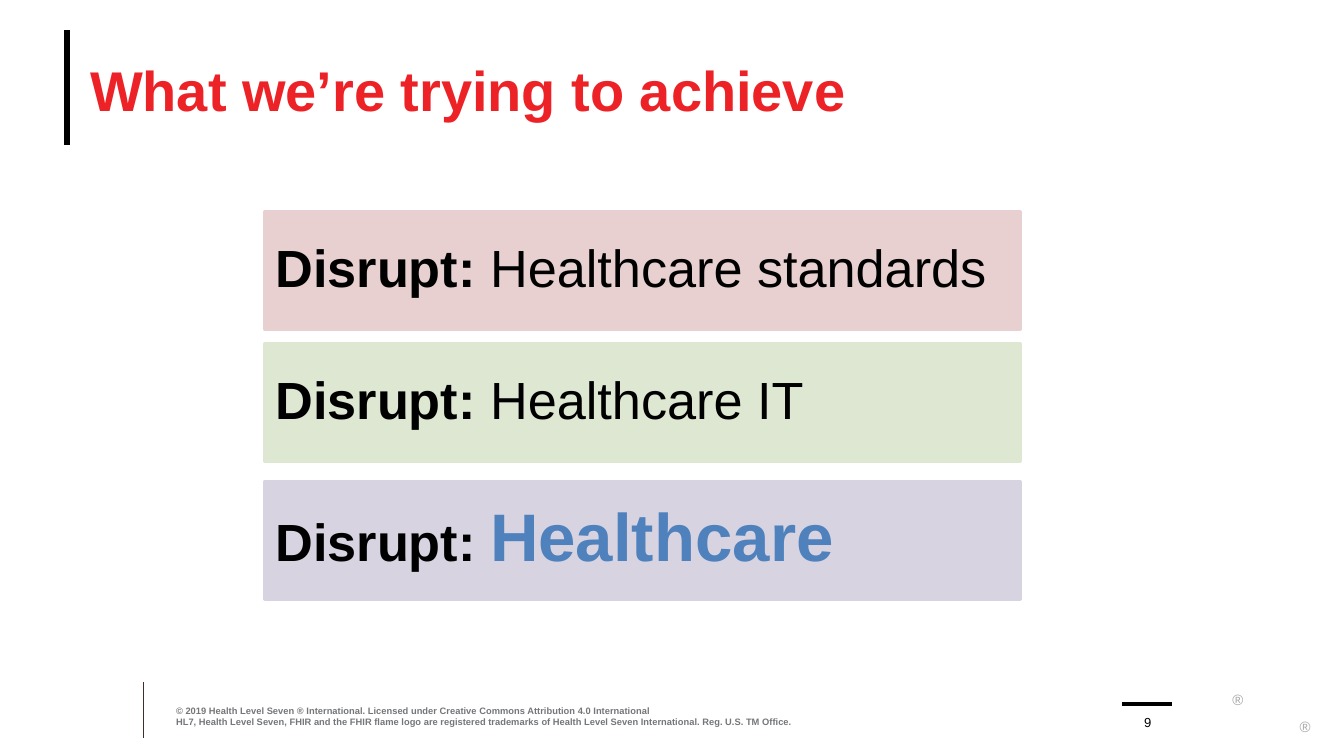
from dataclasses import dataclass

import pptx
import pptx.dml.color
import pptx.enum.shapes
import pptx.enum.text
import pptx.oxml.xmlchemy
import pptx.util

RGBColor = pptx.dml.color.RGBColor
Anchor = pptx.enum.text.MSO_ANCHOR
Align = pptx.enum.text.PP_ALIGN

BLACK = RGBColor(0x00, 0x00, 0x00)
RED = RGBColor(0xEC, 0x22, 0x27)
BROWN = RGBColor(0x3D, 0x30, 0x29)
GREY = RGBColor(0x74, 0x76, 0x79)
LIGHT_GREY = RGBColor(0xA6, 0xA6, 0xA6)
BLUE = RGBColor(0x4F, 0x81, 0xBD)
ROSE = RGBColor(0xE8, 0xD0, 0xD0)
SAGE = RGBColor(0xDE, 0xE7, 0xD1)
LILAC = RGBColor(0xD8, 0xD3, 0xE0)

FONT = "Arial"
SLIDE_WIDTH = pptx.util.Inches(10)
SLIDE_HEIGHT = SLIDE_WIDTH * 9 // 16
COLUMN = SLIDE_WIDTH / 100
ROW = SLIDE_HEIGHT / 56.25


@dataclass(frozen=True)
class Area:
    """A place on the slide, in grid columns and rows."""

    left: float
    top: float
    width: float
    height: float

    def emu(self) -> tuple[int, int, int, int]:
        return (round(self.left * COLUMN), round(self.top * ROW),
                round(self.width * COLUMN), round(self.height * ROW))


@dataclass(frozen=True)
class Style:
    size: float
    color: RGBColor
    bold: bool = False


@dataclass(frozen=True)
class Rule:
    area: Area
    color: RGBColor
    weight: float


@dataclass(frozen=True)
class Label:
    area: Area
    text: str
    style: Style
    anchor: Anchor = Anchor.BOTTOM
    align: Align = Align.LEFT


@dataclass(frozen=True)
class Goal:
    top: float
    color: RGBColor
    target: str
    target_style: Style


LEAD = Style(28, BLACK, bold=True)
PLAIN = Style(28, BLACK)
EMPHASIS = Style(36, BLUE, bold=True)
MARK = Style(8, LIGHT_GREY)

RULES = [
    Rule(Area(5, 2.25, 0, 8.55), BLACK, 3.25),
    Rule(Area(10.7, 50.75, 0, 4.15), BROWN, 0.5),
    Rule(Area(83.5, 52.4, 3.7, 0), BLACK, 2),
]
LABELS = [
    Label(Area(6.7, 2.3, 90, 8.6), "What we’re trying to achieve",
          Style(30, RED, bold=True), Anchor.MIDDLE),
    Label(Area(13.1, 52.45, 49.5, 1.7),
          "© 2019 Health Level Seven ® International. Licensed under "
          "Creative Commons Attribution 4.0 International\n"
          "HL7, Health Level Seven, FHIR and the FHIR flame logo are registered "
          "trademarks of Health Level Seven International. Reg. U.S. TM Office.",
          Style(5, GREY, bold=True)),
    Label(Area(83.9, 52.4, 3, 1.9), "9", Style(7, BLACK), align=Align.CENTER),
    Label(Area(91.4, 51.4, 1.4, 1.3), "®", MARK, Anchor.MIDDLE, Align.CENTER),
    Label(Area(96.4, 53.4, 1.4, 1.3), "®", MARK, Anchor.MIDDLE, Align.CENTER),
]
GOALS = [
    Goal(15.8, ROSE, "Healthcare standards", PLAIN),
    Goal(25.6, SAGE, "Healthcare IT", PLAIN),
    Goal(35.85, LILAC, "Healthcare", EMPHASIS),
]


def format_run(run, style: Style) -> None:
    run.font.name = FONT
    run.font.size = pptx.util.Pt(style.size)
    run.font.bold = style.bold
    run.font.color.rgb = style.color


def set_margins(frame, sides: float) -> None:
    frame.margin_left = frame.margin_right = pptx.util.Inches(sides)
    frame.margin_top = frame.margin_bottom = 0


def draw_rule(slide, rule: Rule) -> None:
    left, top, width, height = rule.area.emu()
    line = slide.shapes.add_connector(
        pptx.enum.shapes.MSO_CONNECTOR.STRAIGHT, left, top, left + width, top + height)
    line.line.color.rgb = rule.color
    line.line.width = pptx.util.Pt(rule.weight)
    line._element.spPr.append(pptx.oxml.xmlchemy.OxmlElement("a:effectLst"))


def draw_label(slide, label: Label) -> None:
    frame = slide.shapes.add_textbox(*label.area.emu()).text_frame
    frame.word_wrap = True
    frame.vertical_anchor = label.anchor
    set_margins(frame, 0)
    frame.text = label.text
    for paragraph in frame.paragraphs:
        paragraph.alignment = label.align
        for run in paragraph.runs:
            format_run(run, label.style)


def draw_goal(slide, goal: Goal) -> None:
    panel = slide.shapes.add_shape(
        pptx.enum.shapes.MSO_SHAPE.RECTANGLE, *Area(19.7, goal.top, 56.2, 8.7).emu())
    panel.shadow.inherit = False
    panel.fill.solid()
    panel.fill.fore_color.rgb = goal.color
    panel.line.color.rgb = goal.color
    panel.line.width = pptx.util.Pt(2)

    frame = panel.text_frame
    frame.word_wrap = True
    frame.vertical_anchor = Anchor.MIDDLE
    set_margins(frame, 0.08)
    paragraph = frame.paragraphs[0]
    paragraph.alignment = Align.LEFT
    paragraph.line_spacing = 0.9
    for text, style in (("Disrupt: ", LEAD), (goal.target, goal.target_style)):
        run = paragraph.add_run()
        run.text = text
        format_run(run, style)


def main() -> None:
    presentation = pptx.Presentation()
    presentation.slide_width = SLIDE_WIDTH
    presentation.slide_height = SLIDE_HEIGHT
    slide = presentation.slides.add_slide(presentation.slide_layouts[6])
    for rule in RULES:
        draw_rule(slide, rule)
    for label in LABELS:
        draw_label(slide, label)
    for goal in GOALS:
        draw_goal(slide, goal)
    presentation.save("out.pptx")


if __name__ == "__main__":
    main()
